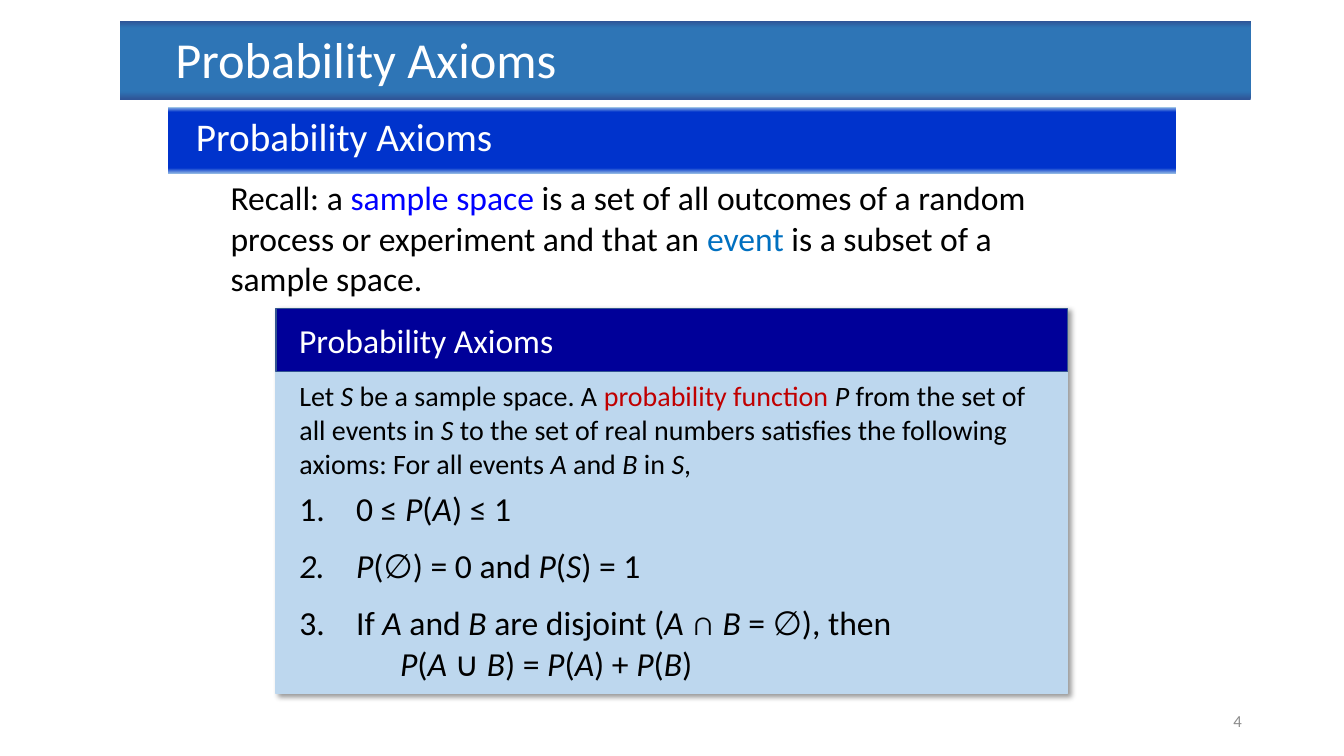
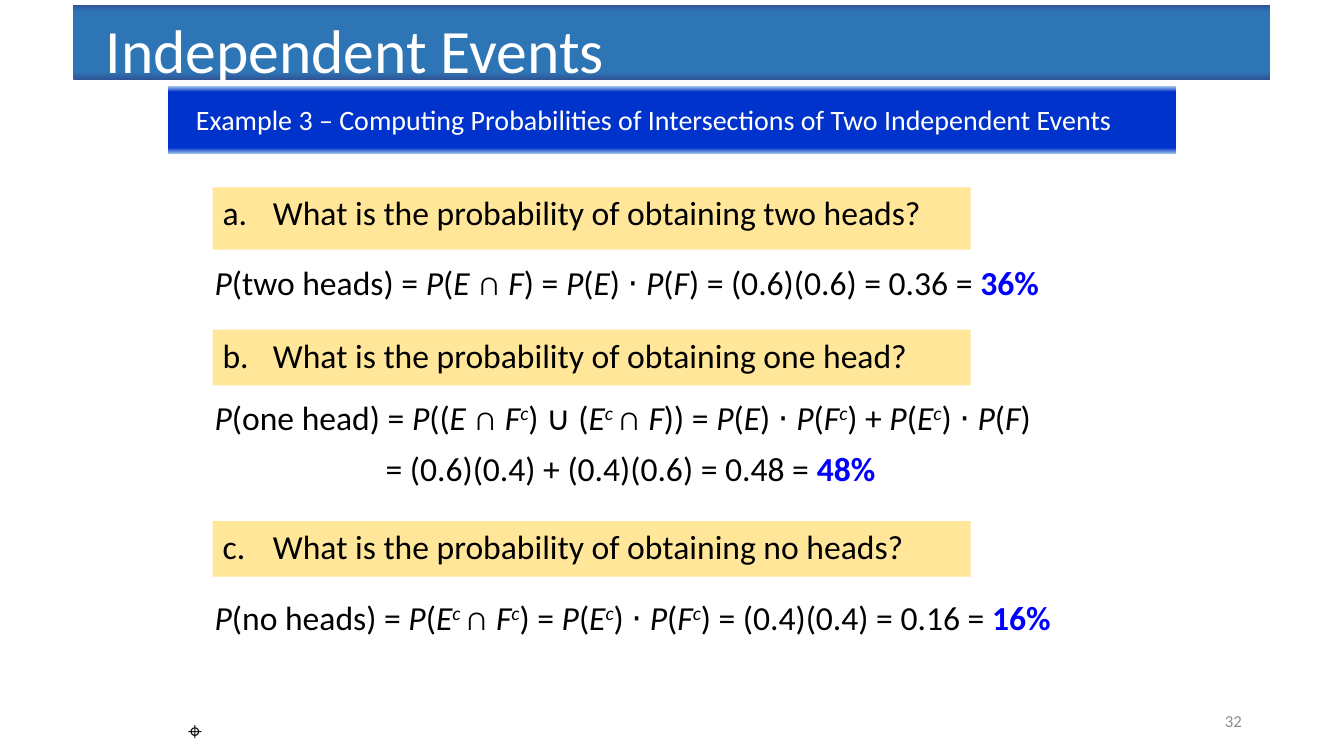
from lxml.etree import SubElement
from pptx import Presentation
from pptx.dml.color import RGBColor
from pptx.enum.shapes import MSO_SHAPE
from pptx.enum.text import MSO_ANCHOR, MSO_AUTO_SIZE, PP_ALIGN
from pptx.oxml.ns import qn
from pptx.util import Cm, Pt

FONT = "Calibri"
COLORS = {
    "white": "FFFFFF", "black": "000000", "gray": "8C8C8C",
    "title": "2E75B6", "title_edge": "2F5597",
    "topic": "0033CC", "topic_edge": "9DC3E6",
    "card": "BDD7EE", "card_head": "000099", "card_head_line": "325491",
    "question": "FFE699", "blue": "0000FF", "sky": "0070C0", "red": "C00000",
}
COLOR_MARKS = {"~": "blue", "#": "sky", "!": "red"}
STYLE_MARKS = "_^*"
TITLE_ONLY, TITLE_AND_BODY = 5, 1


def rgb(name):
    """Return the named colour."""
    return RGBColor.from_string(COLORS[name])


def place(shape, box):
    """Move and size a shape to a box given in centimetres."""
    shape.left, shape.top, shape.width, shape.height = map(Cm, box)


def write(paragraph, text, size, color="black"):
    """Write text whose marks toggle italic _, superscript ^, bold * and colours."""
    active, chunks, chunk = set(), [], ""
    for character in text:
        if character in STYLE_MARKS or character in COLOR_MARKS:
            chunks.append((chunk, frozenset(active)))
            active ^= {character}
            chunk = ""
        else:
            chunk += character
    chunks.append((chunk, frozenset(active)))
    for words, marks in chunks:
        if not words:
            continue
        run = paragraph.add_run()
        run.text = words
        run.font.name, run.font.size = FONT, Pt(size)
        run.font.italic = bool(marks & {"_", "^"})
        run.font.bold = "*" in marks
        shade = next((COLOR_MARKS[mark] for mark in marks if mark in COLOR_MARKS), color)
        run.font.color.rgb = rgb(shade)
        if "^" in marks:
            run.font._element.set("baseline", "30000")


def setup_frame(shape, anchor=MSO_ANCHOR.TOP):
    """Prepare a wrapping text frame and return it."""
    frame = shape.text_frame
    frame.word_wrap = True
    frame.auto_size = MSO_AUTO_SIZE.NONE
    frame.vertical_anchor = anchor
    return frame


def set_indent(paragraph, left=0, scheme=None, start=1):
    """Indent a paragraph, with hanging automatic numbers if a scheme is given."""
    properties = paragraph._p.get_or_add_pPr()
    properties.set("marL", str(Cm(left)))
    properties.set("indent", str(-Cm(left) if scheme else 0))
    if scheme:
        SubElement(properties, qn("a:buAutoNum"), type=scheme, startAt=str(start))
    else:
        SubElement(properties, qn("a:buNone"))


def add_text(slide, box, text, size, color="black", align=PP_ALIGN.LEFT, anchor=MSO_ANCHOR.TOP):
    """Add a text box with one paragraph."""
    note = slide.shapes.add_textbox(*map(Cm, box))
    paragraph = setup_frame(note, anchor).paragraphs[0]
    paragraph.alignment = align
    write(paragraph, text, size, color)


def add_panel(slide, box, fill, line=None):
    """Add a flat rectangle."""
    panel = slide.shapes.add_shape(MSO_SHAPE.RECTANGLE, *map(Cm, box))
    panel.shadow.inherit = False
    panel.fill.solid()
    panel.fill.fore_color.rgb = rgb(fill)
    if line:
        panel.line.color.rgb = rgb(line)
        panel.line.width = Pt(1)
    else:
        panel.line.fill.background()
    return panel


def fill_band(band, middle, edge, stops):
    """Give a band a vertical gradient with darker or lighter edges."""
    band.fill.gradient()
    band.fill.gradient_angle = 90
    stop_list = band._element.spPr.find(".//" + qn("a:gsLst"))
    stop_list.clear()
    for position, name in zip((0, *stops, 100), (edge, middle, middle, edge)):
        stop = SubElement(stop_list, qn("a:gs"), pos=str(position * 1000))
        SubElement(stop, qn("a:srgbClr"), val=COLORS[name])


def add_title(slide, box, text, size, inset):
    """Turn the title placeholder into the blue title band."""
    title = slide.shapes.title
    place(title, box)
    fill_band(title, "title", "title_edge", (11, 91))
    frame = setup_frame(title)
    frame.margin_left, frame.margin_top = Cm(inset), Cm(0.18)
    paragraph = frame.paragraphs[0]
    paragraph.alignment = PP_ALIGN.LEFT
    write(paragraph, text, size, "white")


def add_topic(slide, top, text, size):
    """Add the topic band, with its text on a fixed baseline."""
    topic = add_panel(slide, (4.24, top, 25.4, 1.7), "topic")
    fill_band(topic, "topic", "topic_edge", (9, 92))
    frame = setup_frame(topic)
    frame.margin_left = Cm(0.7)
    frame.margin_top = Cm(1.07) - Pt(0.95 * size)
    paragraph = frame.paragraphs[0]
    paragraph.alignment = PP_ALIGN.LEFT
    write(paragraph, text, size, "white")


def add_page_number(slide, number):
    """Add the page number at the lower right."""
    add_text(slide, (23.93, 17.65, 7.62, 1.02), number, 12, "gray",
             PP_ALIGN.RIGHT, MSO_ANCHOR.MIDDLE)


def add_axiom_card(slide, box, heading, intro, axioms, conclusion):
    """Add the card with a heading, an introduction and numbered axioms."""
    left, top, width, height = box
    card = add_panel(slide, box, "card", "card")
    effects = card._element.spPr.find(qn("a:effectLst"))
    shadow = SubElement(effects, qn("a:outerShdw"), blurRad=str(Pt(4)), dist=str(Pt(3)),
                        dir="2700000", algn="tl", rotWithShape="0")
    shade = SubElement(shadow, qn("a:srgbClr"), val=COLORS["black"])
    SubElement(shade, qn("a:alpha"), val="40000")

    header = add_panel(slide, (left, top, width, 1.6), "card_head", "card_head_line")
    frame = setup_frame(header, MSO_ANCHOR.MIDDLE)
    frame.margin_left = Cm(0.58)
    frame.paragraphs[0].alignment = PP_ALIGN.LEFT
    write(frame.paragraphs[0], heading, 24, "white")

    body = slide.placeholders[1]
    place(body, (left + 0.33, top + 1.65, width - 0.71, height - 1.7))
    slide.shapes._spTree.append(body._element)
    frame = setup_frame(body)
    lines = [(intro, 20, 6, 0, None)]
    lines += [(axiom, 24, 12, 1.43, "arabicPeriod") for axiom in axioms[:-1]]
    lines += [(axioms[-1], 24, 0, 1.43, "arabicPeriod"), (conclusion, 24, 0, 2.54, None)]
    for index, (text, size, after, indent, scheme) in enumerate(lines):
        paragraph = frame.add_paragraph() if index else frame.paragraphs[0]
        paragraph.alignment = PP_ALIGN.LEFT
        paragraph.space_before, paragraph.space_after = Pt(0), Pt(after)
        write(paragraph, text, size)
        set_indent(paragraph, indent, scheme)


def add_question(slide, top, height, text, number):
    """Add a lettered question on a yellow strip."""
    question = add_panel(slide, (5.36, top, 19.1, height), "question")
    paragraph = setup_frame(question).paragraphs[0]
    paragraph.alignment = PP_ALIGN.LEFT
    write(paragraph, text, 24)
    set_indent(paragraph, 1.27, "alphaLcPeriod", number)


def build_axioms(deck):
    """Build the slide on the probability axioms."""
    slide = deck.slides.add_slide(deck.slide_layouts[TITLE_AND_BODY])
    add_title(slide, (3.02, 0.53, 28.5, 1.98), "Probability Axioms", 36, 1.4)
    add_topic(slide, 2.69, "Probability Axioms", 28)
    add_text(slide, (5.56, 4.34, 21.08, 3.4),
             "Recall: a ~sample space ~is a set of all outcomes of a random process or "
             "experiment and that an #event# is a subset of a sample space.", 24)
    add_axiom_card(
        slide, (6.96, 7.77, 19.94, 9.7), "Probability Axioms",
        "Let _S_ be a sample space. A !probability function !_P_ from the set of all events "
        "in _S_ to the set of real numbers satisfies the following axioms: "
        "For all events _A_ and _B_ in _S_,",
        ["0 ≤ _P_(_A_) ≤ 1",
         "_P_(∅) = 0 and _P_(_S_) = 1",
         "If _A_ and _B_ are disjoint (_A_ ∩ _B_ = ∅), then"],
        "_P_(_A_ ∪ _B_) = _P_(_A_) + _P_(_B_)")
    add_page_number(slide, "4")


def build_independent_events(deck):
    """Build the slide with the worked example on independent events."""
    slide = deck.slides.add_slide(deck.slide_layouts[TITLE_ONLY])
    add_title(slide, (1.85, 0.13, 30.15, 1.88), "Independent Events", 44, 0.81)
    add_topic(slide, 2.18, "Example 3 – Computing Probabilities of Intersections "
              "of Two Independent Events", 20)
    questions = [(4.72, 1.57, "two heads"), (8.31, 1.4, "one head"), (13.13, 1.4, "no heads")]
    for number, (top, height, outcome) in enumerate(questions, 1):
        add_question(slide, top, height,
                     f"What is the probability of obtaining {outcome}?", number)
    answers = [
        (5.16, 6.48, "_P_(two heads) = _P_(_E_ ∩ _F_) = _P_(_E_) ⋅ _P_(_F_) "
                     "= (0.6)(0.6) = 0.36 = ~*36%*~"),
        (5.16, 9.88, "_P_(one head) = _P_((_E_ ∩ _F_^c^) ∪ (_E_^c ^∩ _F_)) = "
                     "_P_(_E_) ⋅ _P_(_F_^c^) + _P_(_E_^c^) ⋅ _P_(_F_)"),
        (9.47, 11.15, "= (0.6)(0.4) + (0.4)(0.6) = 0.48 = ~*48%*~"),
        (5.16, 14.91, "_P_(no heads) = _P_(_E_^c ^∩ _F_^c^) = _P_(_E_^c^) ⋅ _P_(_F_^c^) "
                      "= (0.4)(0.4) = 0.16 = ~*16%*~"),
    ]
    for left, top, answer in answers:
        add_text(slide, (left, top, 23.93, 1.65), answer, 24)
    add_text(slide, (4.14, 17.91, 1.55, 1.02), "⌖", 18, align=PP_ALIGN.CENTER)
    add_page_number(slide, "32")


def main():
    """Build and save the presentation."""
    deck = Presentation()
    deck.slide_width, deck.slide_height = Cm(33.87), Cm(19.05)
    build_axioms(deck)
    build_independent_events(deck)
    deck.save("out.pptx")


main()
